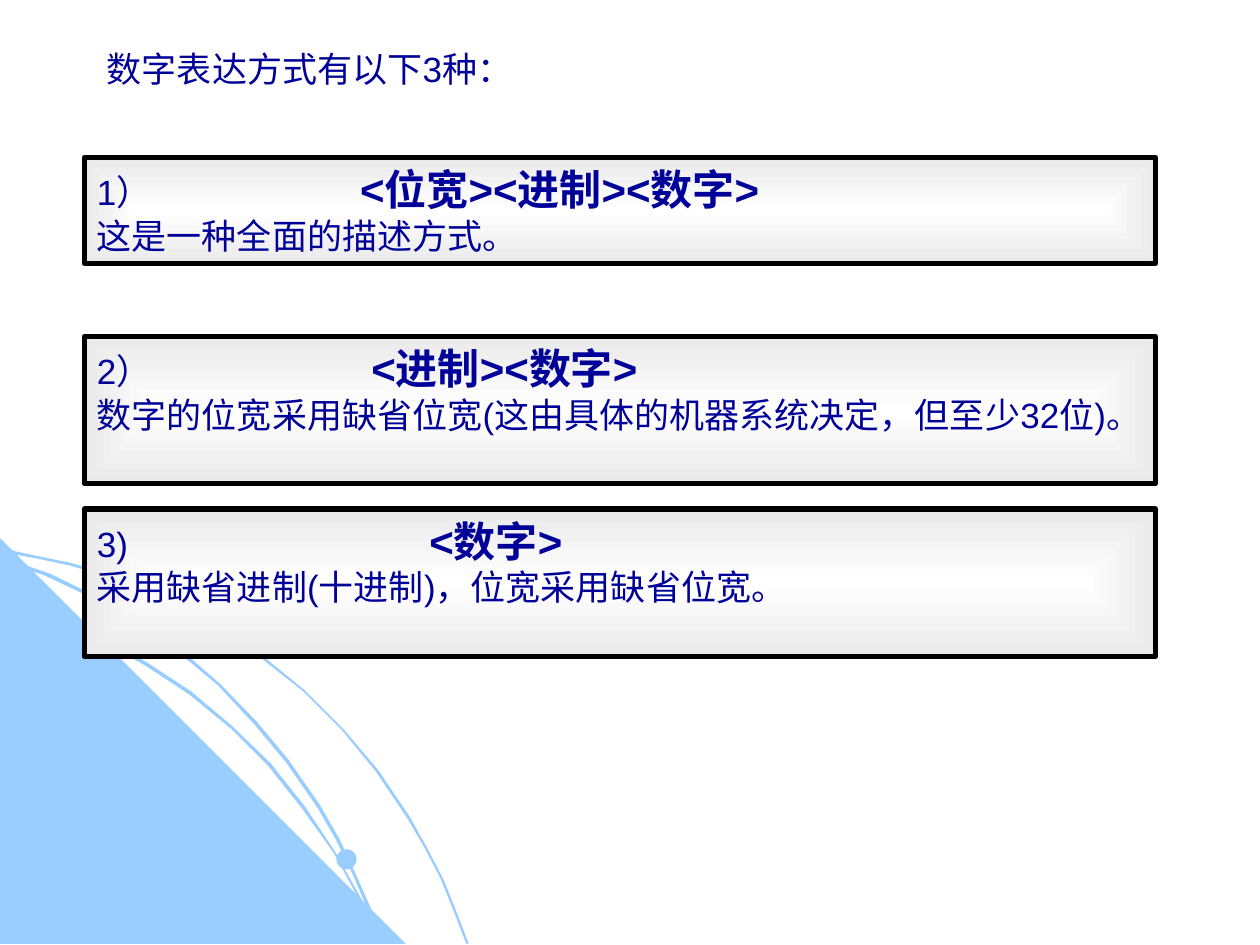
"""Build a slide on the three ways of writing a number."""
from lxml import etree
from pptx import Presentation
from pptx.dml.color import RGBColor
from pptx.enum.shapes import MSO_SHAPE
from pptx.enum.text import MSO_ANCHOR, PP_ALIGN
from pptx.oxml import parse_xml
from pptx.oxml.ns import qn
from pptx.util import Inches, Pt

RECTANGLE, OVAL = MSO_SHAPE.RECTANGLE, MSO_SHAPE.OVAL
TOP, LEFT = MSO_ANCHOR.TOP, PP_ALIGN.LEFT
NAMESPACE = "http://schemas.openxmlformats.org/drawingml/2006/main"
COLORS = {"text": "010199", "sky": "99CCFF", "edge": "000000", "center": "FFFFFF", "rim": "EAEAEA"}
FONT = "Arial"

HEADING = "数字表达方式有以下3种："
FORMS = [
    {"top": 1.25, "height": 0.84, "tab": 2.09, "label": "1）",
     "pattern": "<位宽><进制><数字>", "note": "这是一种全面的描述方式。"},
    {"top": 2.67, "height": 1.17, "tab": 2.18, "label": "2）",
     "pattern": "<进制><数字>", "note": "数字的位宽采用缺省位宽(这由具体的机器系统决定，但至少32位)。"},
    {"top": 4.04, "height": 1.17, "tab": 2.64, "label": "3)",
     "pattern": "<数字>", "note": "采用缺省进制(十进制)，位宽采用缺省位宽。"},
]
OUTER_ARC = [
    (0.57, 4.47), (0.28, 4.41), (0, 4.35), (0, 4.38), (0.28, 4.43), (0.56, 4.49), (0.97, 4.61),
    (1.35, 4.78), (1.73, 4.99), (2.08, 5.23), (2.41, 5.49), (2.71, 5.79), (2.98, 6.12),
    (3.23, 6.49), (3.37, 6.73), (3.5, 6.98), (3.6, 7.23), (3.7, 7.49), (3.72, 7.49),
    (3.62, 7.23), (3.52, 6.98), (3.39, 6.73), (3.25, 6.48), (3, 6.11), (2.72, 5.78),
    (2.42, 5.48), (2.09, 5.21), (1.74, 4.97), (1.36, 4.77), (0.98, 4.59),
]
CORNER = [(3.22, 7.49), (0, 7.49), (0, 4.27)]
INNER_ARC = [
    (2.85, 7.14), (2.94, 7.32), (3.01, 7.49), (3.03, 7.49), (2.96, 7.3), (2.86, 7.12),
    (2.66, 6.76), (2.42, 6.4), (2.15, 6.06), (1.84, 5.76), (1.52, 5.49), (1.17, 5.26),
    (0.79, 5.05), (0.41, 4.88), (0, 4.75), (0, 4.77), (0.39, 4.9), (0.77, 5.07), (1.15, 5.28),
    (1.5, 5.51), (1.83, 5.78), (2.13, 6.08), (2.4, 6.42), (2.65, 6.77),
]
MIDDLE_ARC = [
    (0, 4.42), (0, 4.44), (0.36, 4.57), (0.74, 4.75), (1.09, 4.94), (1.42, 5.18), (1.73, 5.44),
    (2.02, 5.75), (2.27, 6.05), (2.52, 6.41), (2.67, 6.67), (2.8, 6.94), (2.92, 7.22),
    (3.01, 7.49), (3.03, 7.49), (2.94, 7.2), (2.82, 6.93), (2.69, 6.65), (2.54, 6.39),
    (2.29, 6.03), (2.04, 5.73), (1.75, 5.43), (1.44, 5.16), (1.11, 4.93), (0.76, 4.73), (0.39, 4.55),
]
DOT = (2.67, 6.74, 0.16, 0.16)


def rgb(name):
    return RGBColor.from_string(COLORS[name])


def paint(shape):
    shape.shadow.inherit = False
    shape.fill.solid()
    shape.fill.fore_color.rgb = rgb("sky")
    shape.line.fill.background()


def add_outline(page, points):
    corners = [(Inches(x), Inches(y)) for x, y in points]
    builder = page.shapes.build_freeform(*corners[0])
    builder.add_line_segments(corners[1:], close=True)
    paint(builder.convert_to_shape())


def add_span(para, text, size=20, bold=False):
    span = para.add_run()
    span.text = text
    span.font.name = FONT
    span.font.size = Pt(size)
    span.font.bold = bold
    span.font.color.rgb = rgb("text")


def add_tab(para, position):
    tabs = etree.SubElement(para._p.get_or_add_pPr(), qn("a:tabLst"))
    etree.SubElement(tabs, qn("a:tab"), pos=str(Inches(position)), algn="l")


def fill_from_center(shape):
    shape.fill.gradient()
    for stop, name in zip(shape.fill.gradient_stops, ("center", "rim")):
        stop.color.rgb = rgb(name)
    gradient = shape._element.spPr.find(qn("a:gradFill"))
    gradient.replace(gradient.find(qn("a:lin")), parse_xml(
        f'<a:path xmlns:a="{NAMESPACE}" path="rect">'
        '<a:fillToRect l="50000" t="50000" r="50000" b="50000"/></a:path>'))


def add_form(page, form):
    box = page.shapes.add_shape(
        RECTANGLE, Inches(0.67), Inches(form["top"]), Inches(8.5), Inches(form["height"]))
    box.shadow.inherit = False
    fill_from_center(box)
    box.line.color.rgb = rgb("edge")
    box.line.width = Pt(3)
    frame = box.text_frame
    frame.word_wrap = True
    frame.vertical_anchor = TOP
    first, second = frame.paragraphs[0], frame.add_paragraph()
    add_tab(first, form["tab"])
    first.alignment = second.alignment = LEFT
    add_span(first, form["label"] + "\t")
    add_span(first, form["pattern"], size=24, bold=True)
    add_span(second, form["note"])


def main():
    deck = Presentation()
    deck.slide_width, deck.slide_height = Inches(10), Inches(7.5)
    page = deck.slides.add_slide(deck.slide_layouts[6])
    for points in (OUTER_ARC, CORNER, INNER_ARC, MIDDLE_ARC):
        add_outline(page, points)
    paint(page.shapes.add_shape(OVAL, *map(Inches, DOT)))
    heading = page.shapes.add_textbox(Inches(0.75), Inches(0.33), Inches(4.08), Inches(0.44))
    heading.text_frame.word_wrap = True
    add_span(heading.text_frame.paragraphs[0], HEADING)
    for form in FORMS:
        add_form(page, form)
    deck.save("out.pptx")


if __name__ == "__main__":
    main()
